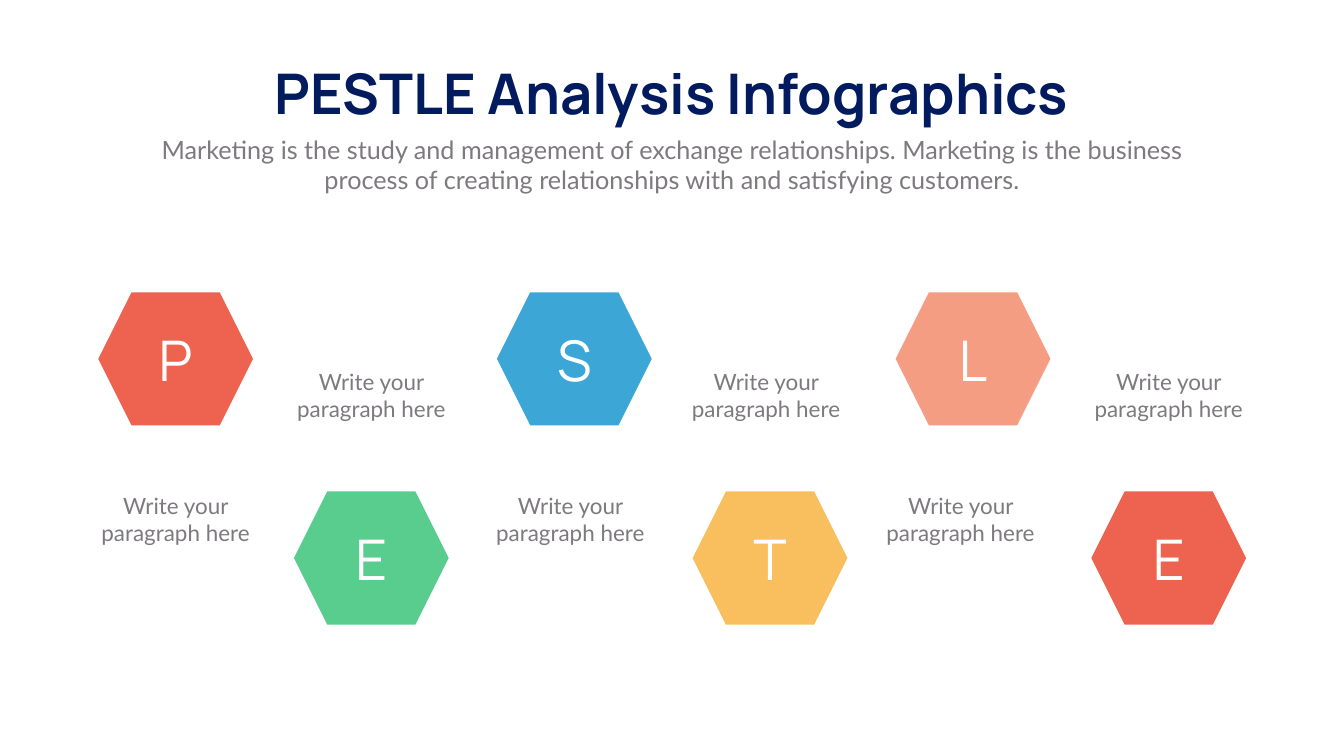
import pptx
import pptx.util
import pptx.dml.color
import pptx.enum.shapes
import pptx.enum.text

Cm = pptx.util.Cm

# Content
TITLE = "PESTLE Analysis Infographics"
SUBTITLE = ("Marketing is the study and management of exchange relationships. "
            "Marketing is the business process of creating relationships with "
            "and satisfying customers.")
NOTE = "Write your paragraph here"
# Letter, hexagon colour, sideways shift of its note in cm
FACTORS = [
    ("P", "red", 0),
    ("E", "green", 0),
    ("S", "blue", -0.2),
    ("T", "yellow", -0.2),
    ("L", "salmon", -0.63),
    ("E", "red", 0),
]

THEME = {
    "colors": {"red": "EE6250", "green": "58CD8E", "blue": "3CA7D7",
               "yellow": "F9BF5F", "salmon": "F59D83",
               "white": "FFFFFF", "navy": "011B5E", "gray": "7D797E"},
    # Font, size in points, colour, bold
    "title": ("Manrope", 80, "navy", True),
    "letter": ("Manrope", 80, "white", False),
    "subtitle": ("Lato", 36, "gray", False),
    "note": ("Lato", 32, "gray", False),
}

# Layout in cm: even factors sit in the upper row, odd ones in the lower row
FIRST_LEFT, PAIR_STEP, LOWER_SHIFT = 4.95, 20.09, 9.86
HEXAGON_TOPS = (14.73, 24.77)
HEXAGON_WIDTH, HEXAGON_HEIGHT = 7.8, 6.71
NOTE_TOPS = (24.66, 18.44)
NOTE_WIDTH, NOTE_HEIGHT = 9.73, 3


def color(name):
    return pptx.dml.color.RGBColor.from_string(THEME["colors"][name])


def write(shape, text, style):
    para = shape.text_frame.paragraphs[0]
    para.text = text
    para.alignment = pptx.enum.text.PP_ALIGN.CENTER
    font_name, size, color_name, bold = THEME[style]
    para.font.name = font_name
    para.font.size = pptx.util.Pt(size)
    para.font.bold = bold
    para.font.color.rgb = color(color_name)


def add_text(slide, text, style, left, top, width, height, wrap=True):
    box = slide.shapes.add_textbox(Cm(left), Cm(top), Cm(width), Cm(height))
    box.text_frame.word_wrap = wrap
    box.text_frame.auto_size = pptx.enum.text.MSO_AUTO_SIZE.SHAPE_TO_FIT_TEXT
    write(box, text, style)


def add_hexagon(slide, letter, fill, left, top):
    hexagon = slide.shapes.add_shape(
        pptx.enum.shapes.MSO_SHAPE.HEXAGON,
        Cm(left), Cm(top), Cm(HEXAGON_WIDTH), Cm(HEXAGON_HEIGHT))
    hexagon.shadow.inherit = False
    hexagon.fill.solid()
    hexagon.fill.fore_color.rgb = color(fill)
    hexagon.line.fill.background()
    hexagon.text_frame.vertical_anchor = pptx.enum.text.MSO_ANCHOR.MIDDLE
    write(hexagon, letter, "letter")


def main():
    deck = pptx.Presentation()
    deck.slide_width, deck.slide_height = Cm(67.72), Cm(38.1)
    slide = deck.slides.add_slide(deck.slide_layouts[6])

    # Heading
    add_text(slide, TITLE, "title", 12.6, 2.84, 42.52, 3.68, wrap=False)
    add_text(slide, SUBTITLE, "subtitle", 7.42, 6.63, 52.88, 3.33)

    # Hexagons, each with a note centred in the opposite row
    for index, (letter, fill, shift) in enumerate(FACTORS):
        pair, row = divmod(index, 2)
        left = FIRST_LEFT + pair * PAIR_STEP + row * LOWER_SHIFT
        add_hexagon(slide, letter, fill, left, HEXAGON_TOPS[row])
        note_left = left + (HEXAGON_WIDTH - NOTE_WIDTH) / 2 + shift
        add_text(slide, NOTE, "note", note_left, NOTE_TOPS[row],
                 NOTE_WIDTH, NOTE_HEIGHT)

    deck.save("out.pptx")


if __name__ == "__main__":
    main()
